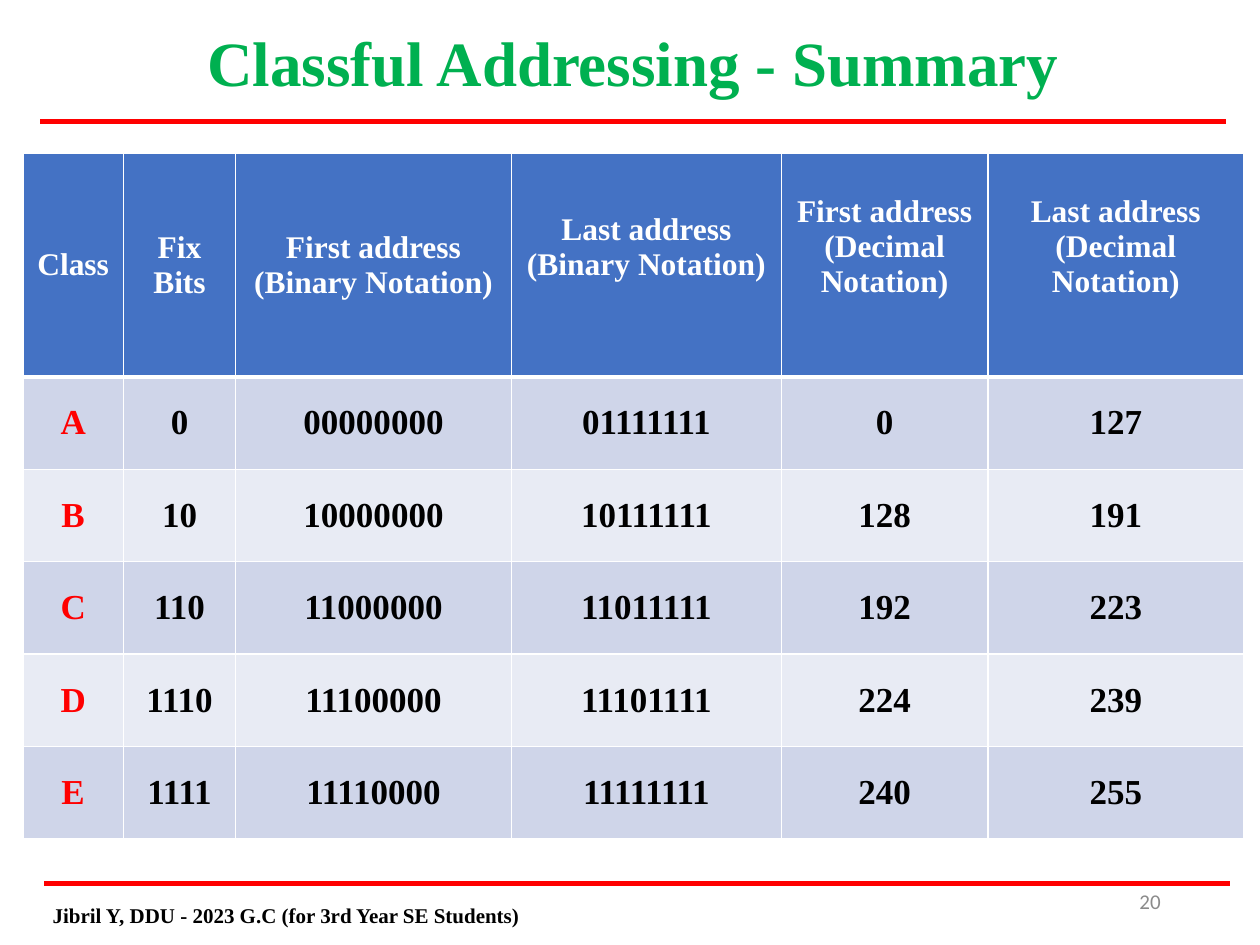
import pptx
import pptx.util
import pptx.dml.color
import pptx.enum.shapes
import pptx.enum.text
import pptx.oxml.ns
import lxml.etree

Pt = pptx.util.Pt
Align = pptx.enum.text.PP_ALIGN
Anchor = pptx.enum.text.MSO_ANCHOR
SERIF = "Times New Roman"


def rgb(code):
    return pptx.dml.color.RGBColor.from_string(code)


def style(para, size, color, align, face=SERIF, bold=True):
    para.alignment = align
    para.font.size = Pt(size)
    para.font.name = face
    para.font.bold = bold
    para.font.color.rgb = rgb(color)


deck = pptx.Presentation()
deck.slide_width, deck.slide_height = Pt(720), Pt(540)
slide = deck.slides.add_slide(deck.slide_layouts[5])

# Title
title = slide.shapes.title
title.left, title.top, title.width, title.height = Pt(23), Pt(14.4), Pt(677.5), Pt(46.8)
title.text_frame.text = "Classful Addressing - Summary"
title.text_frame.vertical_anchor = Anchor.MIDDLE
para = title.text_frame.paragraphs[0]
para.line_spacing = 0.9
style(para, 36, "00B050", Align.CENTER)

# Table of address classes
rows = [
    ["Class", "Fix Bits", "First address (Binary Notation)",
     "Last address (Binary Notation)", "First address (Decimal Notation)",
     "Last address (Decimal Notation)"],
    ["A", "0", "00000000", "01111111", "0", "127"],
    ["B", "10", "10000000", "10111111", "128", "191"],
    ["C", "110", "11000000", "11011111", "192", "223"],
    ["D", "1110", "11100000", "11101111", "224", "239"],
    ["E", "1111", "11110000", "11111111", "240", "255"],
]
widths = [57.6, 64, 157.7, 154.2, 118.1, 146.1]
heights = [128] + [52.8] * 5
table = slide.shapes.add_table(
    len(rows), len(widths), Pt(13), Pt(87.4), Pt(sum(widths)), Pt(sum(heights))).table
for col, width in zip(table.columns, widths):
    col.width = Pt(width)
for row, height in zip(table.rows, heights):
    row.height = Pt(height)

for r, row in enumerate(rows):
    for c, text in enumerate(row):
        cell = table.cell(r, c)
        cell.text = text
        cell.vertical_anchor = Anchor.MIDDLE
        if r == 0:
            size, color, fill = 18, "FFFFFF", "4472C4"
            if c > 2:
                cell.margin_bottom = Pt(24)  # lifts the last three headings
        else:
            size = 20
            color = "000000" if c else "FF0000"
            fill = "CFD5E9" if r % 2 else "E8EBF4"
        style(cell.text_frame.paragraphs[0], size, color, Align.CENTER)

        props = cell._tc.get_or_add_tcPr()
        for side in "LRTB":
            thick = (side, r) in (("B", 0), ("T", 1))
            edge = lxml.etree.SubElement(
                props, pptx.oxml.ns.qn("a:ln" + side), w=str(Pt(3 if thick else 0.96)))
            paint = lxml.etree.SubElement(edge, pptx.oxml.ns.qn("a:solidFill"))
            lxml.etree.SubElement(paint, pptx.oxml.ns.qn("a:srgbClr"), val="FFFFFF")
        cell.fill.solid()
        cell.fill.fore_color.rgb = rgb(fill)

# Red rules above and below the table
for left, top in [(23, 69.4), (25.2, 504.7)]:
    rule = slide.shapes.add_connector(
        pptx.enum.shapes.MSO_CONNECTOR.STRAIGHT,
        Pt(left), Pt(top), Pt(left + 677.5), Pt(top))
    rule.line.color.rgb = rgb("FF0000")
    rule.line.width = Pt(3)
    lxml.etree.SubElement(rule._element.spPr, pptx.oxml.ns.qn("a:effectLst"))

# Footer and page number
notes = [
    ("20", 508.3, 500.4, 162, "8B8B8B", Align.RIGHT, "Calibri", False),
    ("Jibril Y, DDU - 2023 G.C (for 3rd Year SE Students)",
     23, 508.3, 632.2, "000000", Align.LEFT, SERIF, True),
]
for text, left, top, width, color, align, face, bold in notes:
    frame = slide.shapes.add_textbox(Pt(left), Pt(top), Pt(width), Pt(28.8)).text_frame
    frame.word_wrap = True
    frame.vertical_anchor = Anchor.MIDDLE
    frame.text = text
    style(frame.paragraphs[0], 12, color, align, face, bold)

deck.save("out.pptx")
